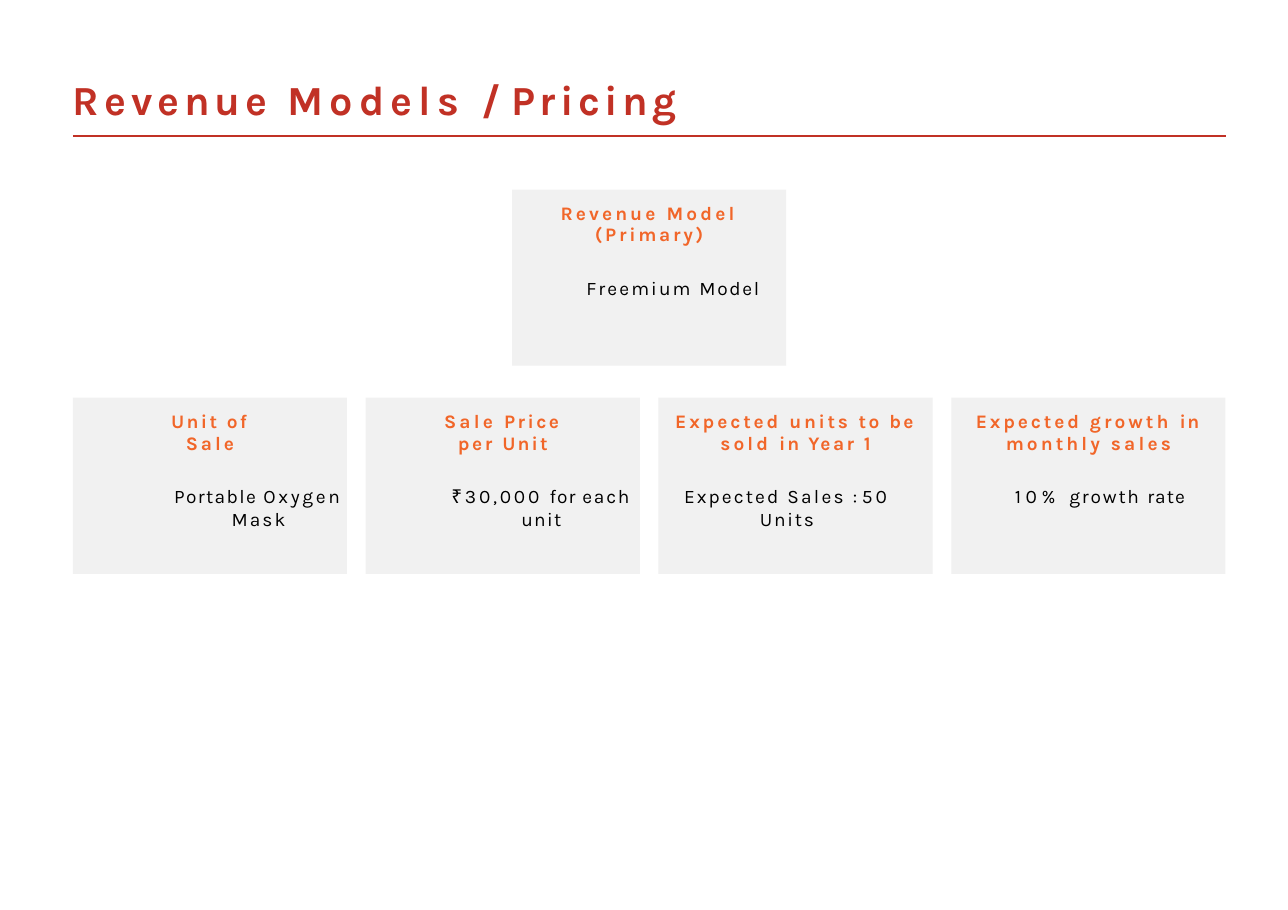
from pptx import Presentation
from pptx.dml.color import RGBColor
from pptx.enum.shapes import MSO_CONNECTOR, MSO_SHAPE
from pptx.enum.text import MSO_ANCHOR, PP_ALIGN
from pptx.oxml import parse_xml
from pptx.oxml.ns import nsdecls
from pptx.util import Cm, Pt

RED = RGBColor(0xC1, 0x31, 0x25)
ORANGE = RGBColor(0xF1, 0x66, 0x29)
BLACK = RGBColor(0, 0, 0)
PALE_GREY = RGBColor(0xF1, 0xF1, 0xF1)

MARGIN, CONTENT_WIDTH = 1.68, 26.57
CARD_WIDTH, CARD_HEIGHT = 6.32, 4.06
PRIMARY_TOP, ROW_TOP = 4.37, 9.17

PRIMARY = ("Revenue Model (Primary)", (2, 2.1, 1.8), "Freemium Model", (1.4, 1.1), 1.09, 0)
DETAILS = [
    ("Unit of Sale", (1.6, 1.3, 1.9),
     "Portable Oxygen Mask", (0.9, 1.8, 1.4), 2.24, 0),
    ("Sale Price per Unit", (2.1, 1.6, 1.7, 1.4),
     "₹30,000 for each unit", (1.8, 0.7, 1.2, 0.9), 1.78, 0),
    ("Expected units to be sold in Year 1", (1.9, 1.8, 1.7, 1.5, 2, 1.4, 1.6, 0.9),
     "Expected Sales : 50 Units", (1.4, 1.5, 0, 1.9, 1.2), 0.36, 0.76),
    ("Expected growth in monthly sales", (1.9, 2, 1.1, 2, 2.1),
     "10% growth rate", (3, 1.2, 0.7), 0.53, 0),
]


def prepare_frame(frame, top_inset):
    """Set a wrapping, top-anchored frame with only a top inset."""
    frame.word_wrap = True
    frame.vertical_anchor = MSO_ANCHOR.TOP
    frame.margin_left = frame.margin_right = frame.margin_bottom = 0
    frame.margin_top = Cm(top_inset)


def write_words(paragraph, text, tracking, size, color, bold):
    """Write text with its own letter spacing in points for each word."""
    words = text.split()
    for position, (word, points) in enumerate(zip(words, tracking), 1):
        run = paragraph.add_run()
        run.text = word if position == len(words) else word + " "
        run._r.get_or_add_rPr().set("spc", str(round(points * 100)))
    paragraph.font.name = "Karla"
    paragraph.font.size = Pt(size)
    paragraph.font.color.rgb = color
    paragraph.font.bold = bold


def indent(paragraph, left, right):
    """Centre a paragraph between a left and a right indent."""
    paragraph.alignment = PP_ALIGN.CENTER
    properties = paragraph._p.get_or_add_pPr()
    properties.set("marL", str(Cm(left)))
    properties.set("marR", str(Cm(right)))
    properties.set("indent", "0")


def add_title(slide, left, top, width):
    """Place the slide title and the red rule below it."""
    title = slide.shapes.add_textbox(Cm(left), Cm(top), Cm(20.1), Cm(1.4)).text_frame
    prepare_frame(title, 0.03)
    write_words(title.paragraphs[0], "Revenue Models / Pricing", (3.2, 3.9, 0, 2.9), 27, RED, True)

    rule_y = Cm(top + 1.46)
    rule = slide.shapes.add_connector(
        MSO_CONNECTOR.STRAIGHT, Cm(left), rule_y, Cm(left + width), rule_y)
    rule.line.color.rgb = RED
    rule.line.width = Pt(1.5)
    rule._element.spPr.append(parse_xml(f"<a:effectLst {nsdecls('a')}/>"))


def add_card(slide, left, top, content):
    """Place a grey card with an orange heading and its answer."""
    heading, heading_tracking, answer, answer_tracking, inset, answer_right = content
    card = slide.shapes.add_shape(
        MSO_SHAPE.RECTANGLE, Cm(left), Cm(top), Cm(CARD_WIDTH), Cm(CARD_HEIGHT))
    card.shadow.inherit = False
    card.fill.solid()
    card.fill.fore_color.rgb = PALE_GREY
    card.line.fill.background()

    frame = card.text_frame
    prepare_frame(frame, 0.3)
    heading_line = frame.paragraphs[0]
    indent(heading_line, inset, inset)
    heading_line.line_spacing = Pt(14.1)
    write_words(heading_line, heading, heading_tracking, 12.5, ORANGE, True)

    answer_line = frame.add_paragraph()
    indent(answer_line, inset, answer_right)
    answer_line.space_before = Pt(20)
    write_words(answer_line, answer, answer_tracking, 12.5, BLACK, False)


def add_detail_row(slide, left, top, width):
    """Spread the detail cards evenly over the given width."""
    pitch = (width - CARD_WIDTH) / (len(DETAILS) - 1)
    for column, content in enumerate(DETAILS):
        add_card(slide, left + column * pitch, top, content)


def main():
    """Build the revenue model slide."""
    deck = Presentation()
    deck.slide_width, deck.slide_height = Cm(29.69), Cm(20.98)
    slide = deck.slides.add_slide(deck.slide_layouts[6])
    add_title(slide, MARGIN, 1.68, CONTENT_WIDTH)
    add_card(slide, MARGIN + (CONTENT_WIDTH - CARD_WIDTH) / 2, PRIMARY_TOP, PRIMARY)
    add_detail_row(slide, MARGIN, ROW_TOP, CONTENT_WIDTH)
    deck.save("out.pptx")


if __name__ == "__main__":
    main()
